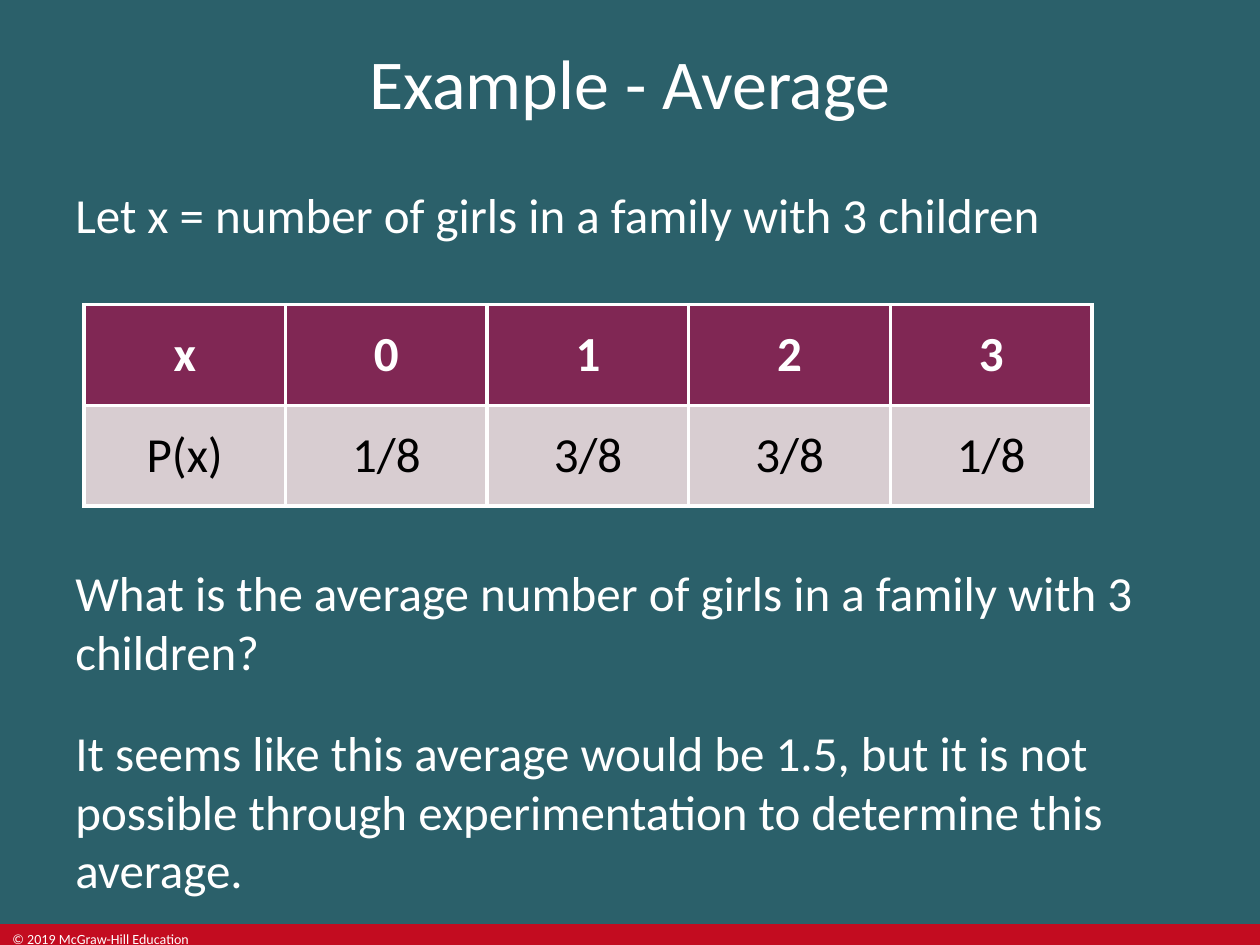
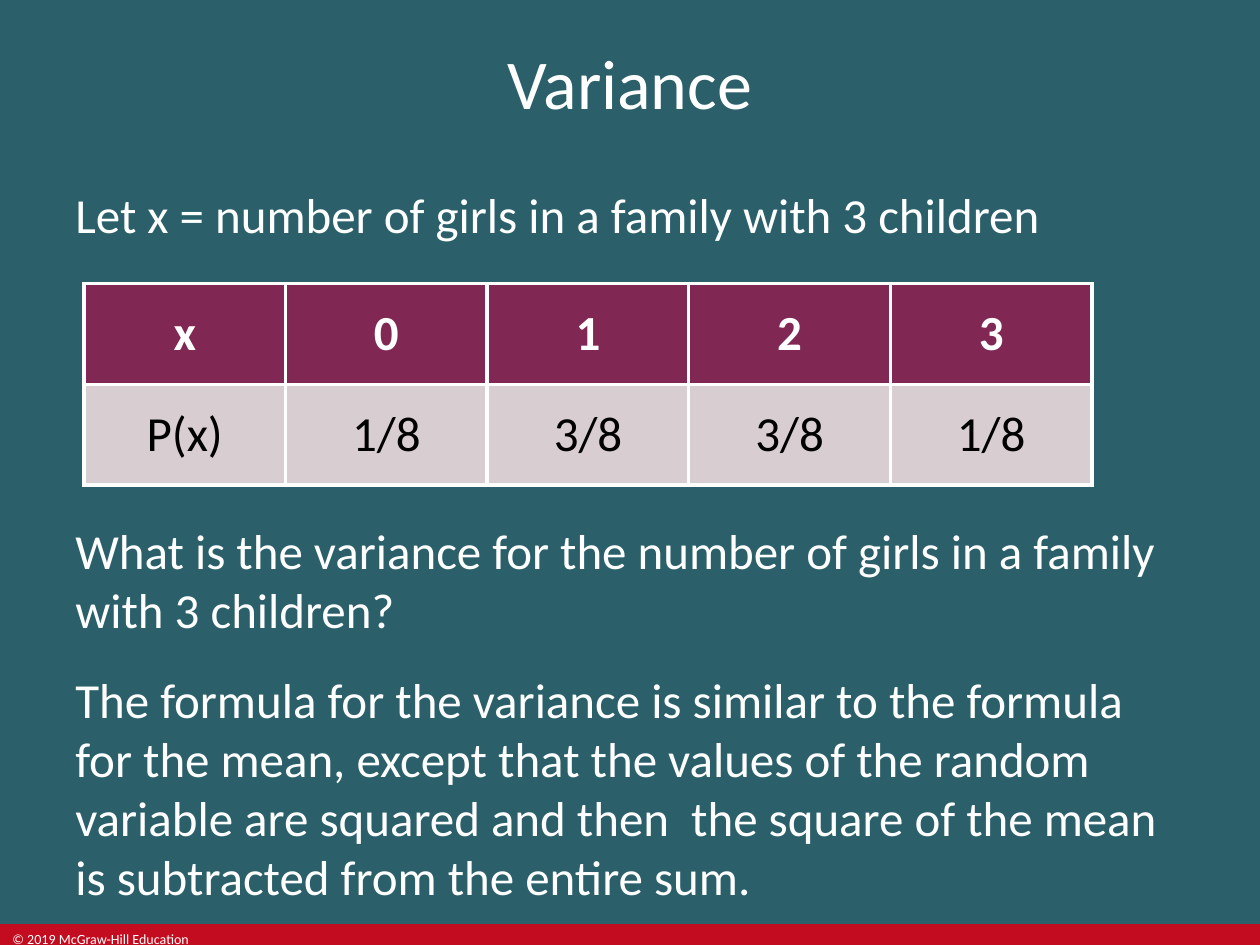
from dataclasses import dataclass

import lxml.etree
import pptx
import pptx.dml.color
import pptx.enum.shapes
import pptx.enum.text
import pptx.oxml.ns
import pptx.presentation
import pptx.slide
import pptx.util

RGBColor = pptx.dml.color.RGBColor
Align = pptx.enum.text.PP_ALIGN
Anchor = pptx.enum.text.MSO_ANCHOR
qn = pptx.oxml.ns.qn

TEAL = RGBColor(0x2B, 0x60, 0x6A)
RED = RGBColor(0xC3, 0x0C, 0x20)
PLUM = RGBColor(0x80, 0x27, 0x54)
PALE = RGBColor(0xD8, 0xCD, 0xD1)
WHITE = RGBColor(0xFF, 0xFF, 0xFF)
BLACK = RGBColor(0, 0, 0)

FONT = "Calibri"
TITLE_SIZE, BODY_SIZE, FOOTER_SIZE = 40, 28, 8
BORDER = pptx.util.Pt(2.25)
SLIDE_W, SLIDE_H = pptx.util.Inches(10), pptx.util.Inches(7.5)
GRID_COLS, GRID_ROWS = 120, 90
CELL = 19.2

COPYRIGHT = "© 2019 McGraw-Hill Education"
DEFINITION = "Let x = number of girls in a family with 3 children"
DISTRIBUTION = (
    ("x", "0", "1", "2", "3"),
    ("P(x)", "1/8", "3/8", "3/8", "1/8"),
)


@dataclass(frozen=True)
class Area:
    col: float
    row: float
    cols: float
    rows: float

    def emu(self) -> tuple[int, int, int, int]:
        x, y = SLIDE_W / GRID_COLS, SLIDE_H / GRID_ROWS
        return (round(self.col * x), round(self.row * y),
                round(self.cols * x), round(self.rows * y))


@dataclass(frozen=True)
class Example:
    title: str
    table_row: float
    question: Area
    space_after: float
    paragraphs: tuple[str, ...]


TITLE = Area(0, 0, GRID_COLS, 15.6)
INTRO = Area(6, 17, 108, 8.4)
BAND = Area(0, 88, GRID_COLS, 2)
FOOTER = Area(0, 88, 20.4, 2)

EXAMPLES = (
    Example("Example - Average", 29, Area(6, 53, 108, 33.6), 12, (
        "What is the average number of girls in a family with 3 children?",
        "It seems like this average would be 1.5, but it is not possible "
        "through experimentation to determine this average.",
    )),
    Example("Variance", 27, Area(6, 49, 108, 37.2), 6, (
        "What is the variance for the number of girls in a family with 3 children?",
        "The formula for the variance is similar to the formula for the mean, "
        "except that the values of the random variable are squared and then  "
        "the square of the mean is subtracted from the entire sum.",
    )),
)


def style(p, size: float, color: RGBColor = WHITE, bold: bool = False,
          align: Align = Align.LEFT) -> None:
    p.alignment = align
    p.font.name = FONT
    p.font.size = pptx.util.Pt(size)
    p.font.bold = bold
    p.font.color.rgb = color


def add_text(s: pptx.slide.Slide, area: Area, paragraphs: tuple[str, ...],
             size: float, align: Align = Align.LEFT, anchor: Anchor = Anchor.TOP,
             space_after: float = 0) -> None:
    tf = s.shapes.add_textbox(*area.emu()).text_frame
    tf.word_wrap = True
    tf.vertical_anchor = anchor
    for i, text in enumerate(paragraphs):
        p = tf.add_paragraph() if i else tf.paragraphs[0]
        p.text = text
        p.space_before = pptx.util.Pt(12 if i else 0)
        p.space_after = pptx.util.Pt(space_after)
        style(p, size, align=align)


def add_borders(cell) -> None:
    props = cell._tc.get_or_add_tcPr()
    for i, side in enumerate(("lnL", "lnR", "lnT", "lnB")):
        line = lxml.etree.Element(qn(f"a:{side}"), w=str(BORDER))
        fill = lxml.etree.SubElement(line, qn("a:solidFill"))
        lxml.etree.SubElement(fill, qn("a:srgbClr"), val=str(WHITE))
        props.insert(i, line)


def add_distribution(s: pptx.slide.Slide, row: float) -> None:
    n_rows, n_cols = len(DISTRIBUTION), len(DISTRIBUTION[0])
    area = Area(8, row, n_cols * CELL, n_rows * CELL / 2)
    table = s.shapes.add_table(n_rows, n_cols, *area.emu()).table
    for i, values in enumerate(DISTRIBUTION):
        header = i == 0
        for j, value in enumerate(values):
            cell = table.cell(i, j)
            cell.text = value
            cell.vertical_anchor = Anchor.MIDDLE
            cell.fill.solid()
            cell.fill.fore_color.rgb = PLUM if header else PALE
            style(cell.text_frame.paragraphs[0], BODY_SIZE,
                  WHITE if header else BLACK, header, Align.CENTER)
            add_borders(cell)


def add_frame(s: pptx.slide.Slide, title: str) -> None:
    s.background.fill.solid()
    s.background.fill.fore_color.rgb = TEAL
    sp = s.shapes.add_shape(pptx.enum.shapes.MSO_SHAPE.RECTANGLE, *BAND.emu())
    sp.shadow.inherit = False
    sp.fill.solid()
    sp.fill.fore_color.rgb = RED
    sp.line.fill.background()
    add_text(s, FOOTER, (COPYRIGHT,), FOOTER_SIZE)
    add_text(s, TITLE, (title,), TITLE_SIZE, Align.CENTER, Anchor.MIDDLE)


def add_example(prs: pptx.presentation.Presentation, example: Example) -> None:
    s = prs.slides.add_slide(prs.slide_layouts[6])
    add_frame(s, example.title)
    add_text(s, INTRO, (DEFINITION,), BODY_SIZE, space_after=6)
    add_distribution(s, example.table_row)
    add_text(s, example.question, example.paragraphs, BODY_SIZE,
             space_after=example.space_after)


def main() -> None:
    prs = pptx.Presentation()
    prs.slide_width, prs.slide_height = SLIDE_W, SLIDE_H
    for example in EXAMPLES:
        add_example(prs, example)
    prs.save("out.pptx")


if __name__ == "__main__":
    main()
